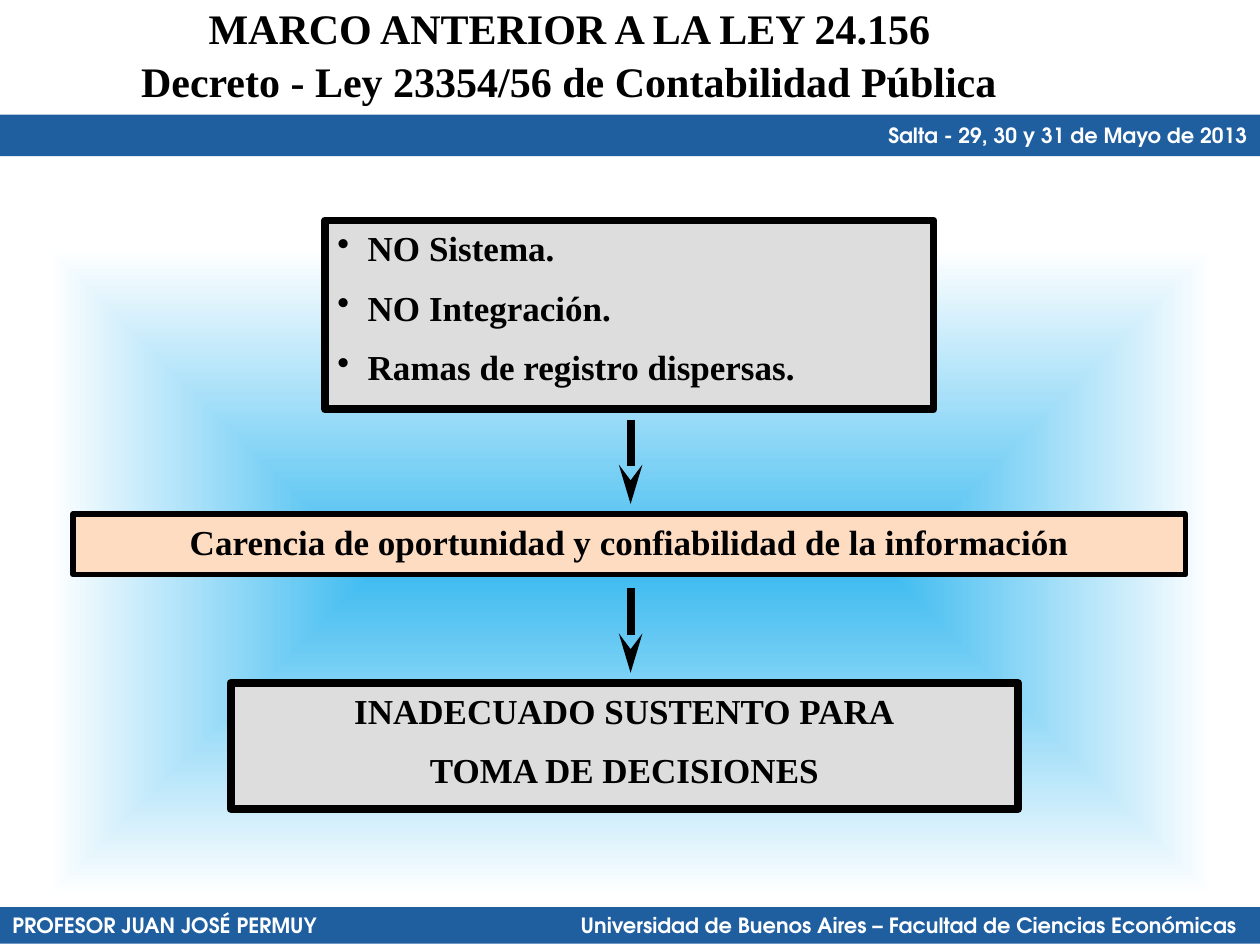
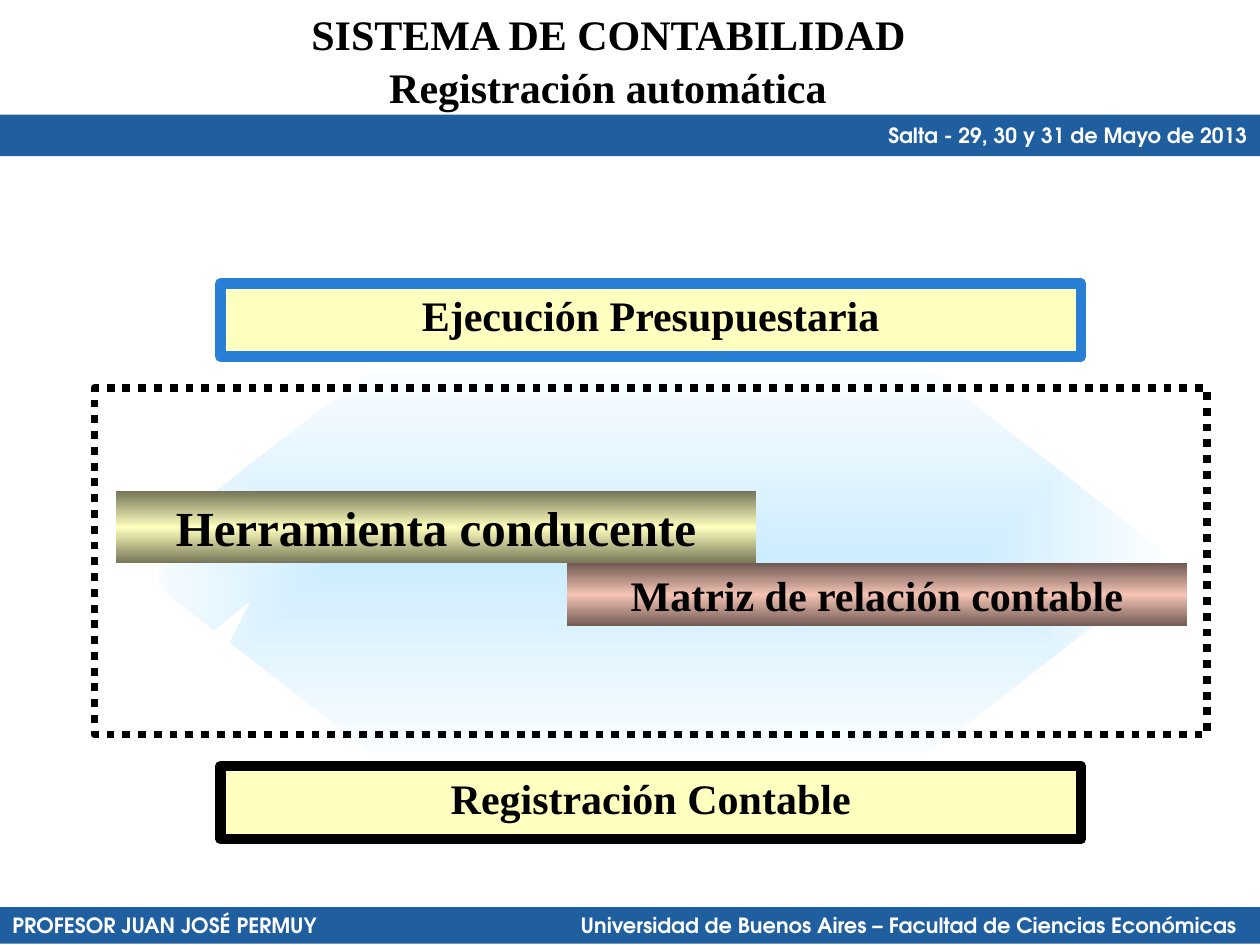
"""Two slides on public accounting systems, with shared title and bands."""
from dataclasses import dataclass

import lxml.etree
import pptx
import pptx.dml.color
import pptx.enum.dml
import pptx.enum.shapes
import pptx.enum.text
import pptx.oxml
import pptx.oxml.ns
import pptx.util

Inches = pptx.util.Inches
Pt = pptx.util.Pt
qn = pptx.oxml.ns.qn
SHAPE = pptx.enum.shapes.MSO_SHAPE
ALIGN = pptx.enum.text.PP_ALIGN
ANCHOR = pptx.enum.text.MSO_ANCHOR
AUTO_SIZE = pptx.enum.text.MSO_AUTO_SIZE


@dataclass(frozen=True)
class Theme:
    """Colours, fonts and type sizes of the deck."""
    white: str = "FFFFFF"
    black: str = "000000"
    band: str = "1F5FA0"
    grey: str = "DDDDDD"
    peach: str = "FDDCC1"
    cream: str = "FFFFBF"
    edge_blue: str = "297FD5"
    glow: tuple = ("3EBBF0", "FDFEFF")
    pale_glow: tuple = ("CCECFF", "FEFFFF")
    olive_bar: tuple = ("767658", "FFFFBF", "767658")
    rose_bar: tuple = ("715A53", "F4C3B4", "715A53")
    body_font: str = "Times New Roman"
    band_font: str = "TeX Gyre Adventor"
    band_size: int = 12
    body_size: int = 20
    title_size: int = 24
    feature_size: int = 28


T = Theme()


def rgb(value):
    """Turn a hex string into a colour."""
    return pptx.dml.color.RGBColor.from_string(value)


def sub(parent, tag, **attrs):
    """Append a child element with the given attributes."""
    return lxml.etree.SubElement(parent, qn(tag), {k: str(v) for k, v in attrs.items()})


def paint_gradient(s, colors, from_center=False):
    """Fill a shape with evenly spaced stops, vertical or from its centre."""
    s.fill.gradient()
    grad = s._element.spPr.find(qn("a:gradFill"))
    for child in list(grad):
        grad.remove(child)
    stops = sub(grad, "a:gsLst")
    for i, color in enumerate(colors):
        stop = sub(stops, "a:gs", pos=100000 * i // (len(colors) - 1))
        sub(stop, "a:srgbClr", val=color)
    if from_center:
        route = sub(grad, "a:path", path="shape")
        sub(route, "a:fillToRect", l=50000, t=50000, r=50000, b=50000)
    else:
        sub(grad, "a:lin", ang=5400000, scaled=1)


def add_box(slide, box, fill=None, edge=None, width=0, kind=SHAPE.RECTANGLE, from_center=False):
    """Add a shape with a solid, gradient or empty fill."""
    s = slide.shapes.add_shape(kind, *map(Inches, box))
    s.shadow.inherit = False
    if fill is None:
        s.fill.background()
    elif isinstance(fill, tuple):
        paint_gradient(s, fill, from_center)
    else:
        s.fill.solid()
        s.fill.fore_color.rgb = rgb(fill)
    if edge:
        s.line.color.rgb = rgb(edge)
        s.line.width = Pt(width)
    else:
        s.line.fill.background()
    return s


def add_run(p, text, size, font=T.body_font, color=T.black):
    """Add one bold run."""
    r = p.add_run()
    r.text = text
    r.font.name = font
    r.font.size = Pt(size)
    r.font.bold = True
    r.font.color.rgb = rgb(color)


def write_lines(s, lines, size, bullets=False):
    """Write spaced paragraphs from the top of a shape, centred or bulleted."""
    tf = s.text_frame
    tf.word_wrap = True
    tf.auto_size = AUTO_SIZE.SHAPE_TO_FIT_TEXT
    tf.vertical_anchor = ANCHOR.TOP
    for i, line in enumerate(lines):
        p = tf.add_paragraph() if i else tf.paragraphs[0]
        p.alignment = ALIGN.LEFT if bullets else ALIGN.CENTER
        pPr = p._p.get_or_add_pPr()
        sub(sub(pPr, "a:spcBef"), "a:spcPct", val=50000)
        if bullets:
            pPr.set("marL", str(Inches(0.24)))
            pPr.set("indent", str(-Inches(0.24)))
            sub(pPr, "a:buChar", char="•")
        add_run(p, line, size)


def add_arrow(slide, x, top, bottom, color, width, head_width="med"):
    """Add a downward line with a long stealth head."""
    c = slide.shapes.add_connector(
        pptx.enum.shapes.MSO_CONNECTOR.STRAIGHT, *map(Inches, (x, top, x, bottom)))
    c.line.color.rgb = rgb(color)
    c.line.width = Pt(width)
    sub(c.line._get_or_add_ln(), "a:tailEnd", type="stealth", w=head_width, len="lg")
    sub(c._element.spPr, "a:effectLst")


def add_band(slide, box, text, align, tab=None):
    """Add a full-width band with one line of text."""
    tf = add_box(slide, box, T.band).text_frame
    tf.word_wrap = True
    tf.vertical_anchor = ANCHOR.MIDDLE
    p = tf.paragraphs[0]
    p.alignment = align
    if tab:
        tabs = sub(p._p.get_or_add_pPr(), "a:tabLst")
        sub(tabs, "a:tab", pos=Inches(tab), algn="l")
    add_run(p, text, T.band_size, T.band_font, T.white)


def add_frame(prs):
    """Add a blank slide with the date band and the footer band."""
    slide = prs.slides.add_slide(prs.slide_layouts[6])
    add_band(slide, (0, 7.2, 10, 0.29),
             "PROFESOR JUAN JOSÉ PERMUY\t"
             "Universidad de Buenos Aires – Facultad de Ciencias Económicas",
             ALIGN.LEFT, tab=4.51)
    add_band(slide, (0, 0.91, 10, 0.33), "Salta - 29, 30 y 31 de Mayo de 2013", ALIGN.RIGHT)
    return slide


def add_title(slide, x, y, title, subtitle):
    """Add the two title lines about a shared centre."""
    for left, top, width, text in ((x, y, 8, title), (x - 0.09, y + 0.42, 8.17, subtitle)):
        s = slide.shapes.add_textbox(*map(Inches, (left, top, width, 0.5)))
        write_lines(s, [text], T.title_size)


def add_cause_chain(slide, box):
    """Stack causes, effect and outcome over a glow, linked by arrows."""
    x, y, w, h = box
    add_box(slide, (x, y + 0.25, w, h - 0.25), T.glow, from_center=True)
    causes = add_box(slide, (x + 2.16, y, 4.83, 1.5), T.grey, T.black, 4.5)
    write_lines(causes, ["NO Sistema.", "NO Integración.", "Ramas de registro dispersas."],
                T.body_size, bullets=True)
    effect = add_box(slide, (x + 0.16, y + 2.33, 8.83, 0.48), T.peach, T.black, 3)
    write_lines(effect, ["Carencia de oportunidad y confiabilidad de la información"],
                T.body_size)
    outcome = add_box(slide, (x + 1.41, y + 3.67, 6.25, 1), T.grey, T.black, 4.5)
    write_lines(outcome, ["INADECUADO SUSTENTO PARA", "TOMA DE DECISIONES"], T.body_size)
    for top in (y + 1.58, y + 2.92):
        add_arrow(slide, x + w / 2, top, top + 0.67, T.black, 4.5)


def add_recording_flow(slide, box):
    """Place the matrix tools between budget execution and accounting record."""
    x, y, w, h = box
    add_hexagon(slide, (x + 0.25, y + 0.58, 8.33, 3.25))
    add_arrow(slide, x + 0.33, y + 0.08, y + 4.33, T.white, 26, "lg")
    for bar, fill, text, size in (
            ((x + 0.17, y + 1.65, 5.08, 0.57), T.olive_bar,
             "Herramienta conducente", T.feature_size),
            ((x + 3.75, y + 2.22, 4.92, 0.5), T.rose_bar,
             "Matriz de relación contable", T.title_size)):
        write_lines(add_box(slide, bar, fill), [text], size)
    for top, edge, text in ((y, T.edge_blue, "Ejecución Presupuestaria"),
                            (y + h - 0.58, T.black, "Registración Contable")):
        s = add_box(slide, (x + 1, top, 6.83, 0.58), T.cream, edge, 6)
        write_lines(s, [text], T.title_size)
    border = add_box(slide, (x, y + 0.83, w, 2.75), edge=T.black, width=4.5)
    border.line.dash_style = pptx.enum.dml.MSO_LINE.ROUND_DOT


def add_hexagon(slide, box):
    """Add the pale hexagon that glows from its centre."""
    s = add_box(slide, box, T.pale_glow, kind=SHAPE.HEXAGON, from_center=True)
    s.adjustments[0] = 0.64
    s.adjustments[1] = 1.15


def main():
    """Build and save both slides."""
    prs = pptx.Presentation()
    prs.slide_width, prs.slide_height = Inches(10), Inches(7.5)
    slide = add_frame(prs)
    add_cause_chain(slide, (0.42, 1.75, 9.17, 5.33))
    add_title(slide, 0.52, -0.03, "MARCO ANTERIOR A LA LEY 24.156",
              "Decreto - Ley 23354/56 de Contabilidad Pública")
    slide = add_frame(prs)
    add_recording_flow(slide, (0.75, 2.25, 8.83, 4.41))
    add_title(slide, 0.83, 0.02, "SISTEMA DE CONTABILIDAD", "Registración automática")
    prs.save("out.pptx")


if __name__ == "__main__":
    main()
